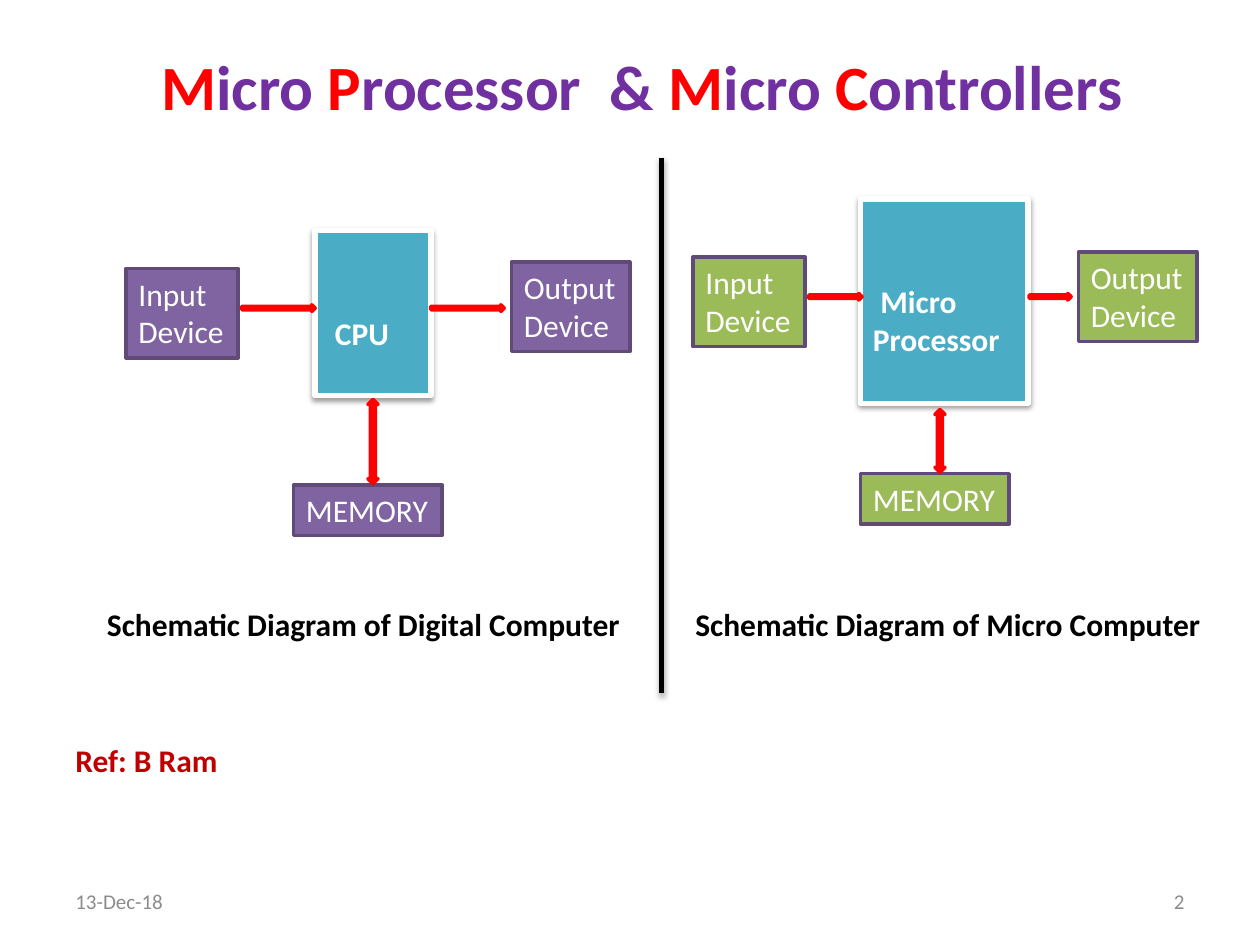
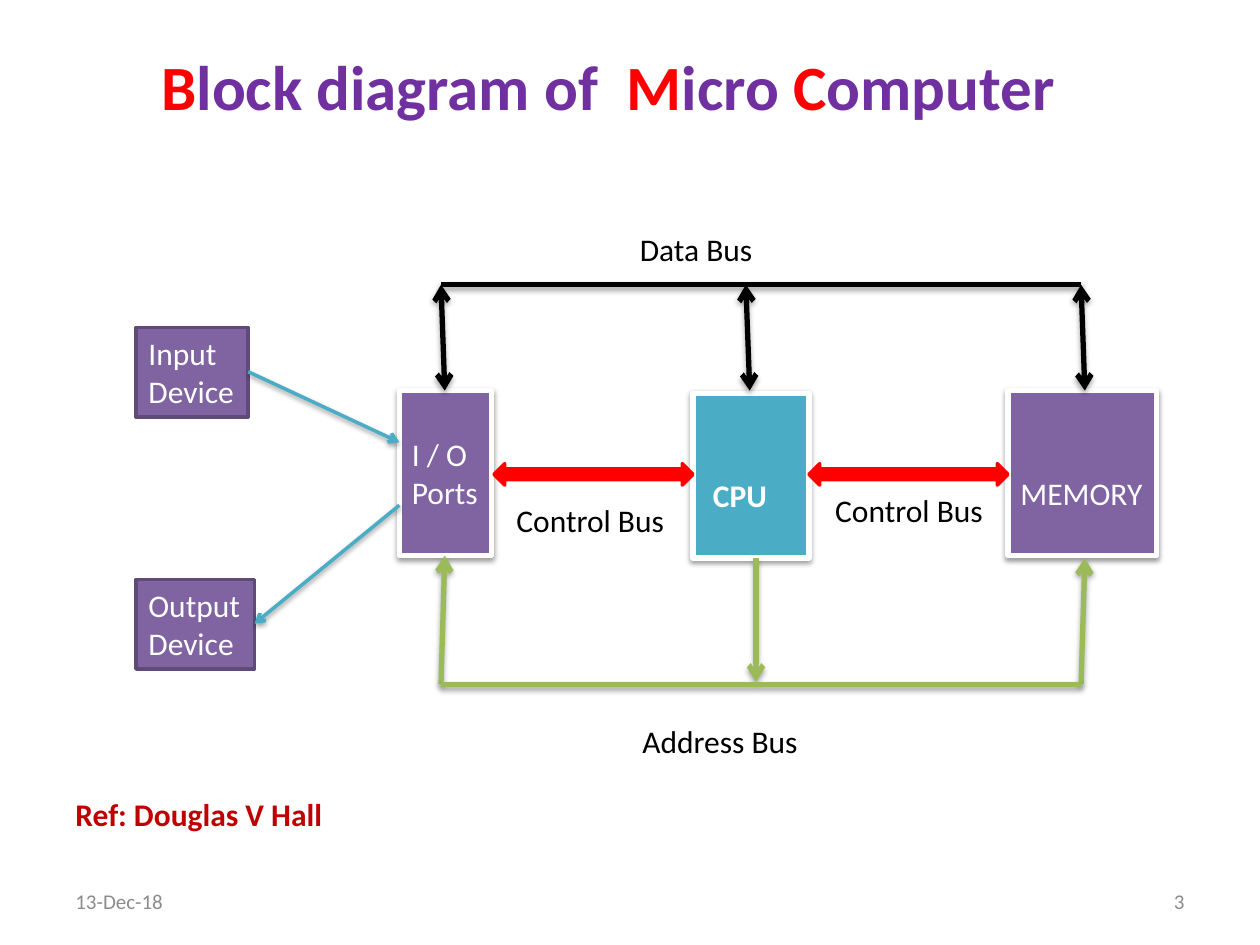
from lxml import etree
from pptx import Presentation
from pptx import util as u
from pptx.dml import color
from pptx.enum import shapes, text
from pptx.oxml import ns

COLOURS = {
    "initial": "FF0000", "title": "7030A0", "signal": "FF0000", "cpu": "4BACC6",
    "violet": "8064A2", "edge": "5F4A78", "green": "9BBB59", "white": "FFFFFF",
    "black": "000000", "reference": "C00000", "footer": "8C8C8C",
}
FONT = "Calibri"
DATE = "13-Dec-18"
LINE_HEIGHT = 0.305
BLOCK_SHADOW = (38, 1.6)
BUS_SHADOW = (35, 1.8)

COMPARISON = {
    "title": [("M", "icro "), ("P", "rocessor  & "), ("M", "icro "), ("C", "ontrollers")],
    "title_width": 7.91,
    "reference": ("Ref: B Ram", (0.5, 5.83, 1.34, 0.4)),
    "number": "2",
}
COMPUTERS = [
    {
        "fill": "violet",
        "devices": [
            (["Input", "Device"], (1, 2.13, 0.89, 0.71)),
            (["MEMORY"], (2.33, 3.85, 1.18, 0.4)),
            (["Output", "Device"], (4.06, 2.08, 0.94, 0.71)),
        ],
        "processor": ("CPU", (2.5, 1.83, 0.92, 1.31)),
        "flows": [(1.92, 2.42, 0.58, 0.05), (3.42, 2.42, 0.58, 0.05)],
        "memory_link": (2.92, 3.17, 0.08, 0.67),
        "caption": ("Schematic Diagram of Digital Computer", (0.75, 4.75, 4.31, 0.4)),
    },
    {
        "fill": "green",
        "devices": [
            (["Input", "Device"], (5.5, 2.04, 0.89, 0.71)),
            (["MEMORY"], (6.83, 3.76, 1.18, 0.4)),
            (["Output", "Device"], (8.56, 2, 0.94, 0.71)),
        ],
        "processor": ("Micro Processor", (6.83, 1.58, 1.33, 1.62)),
        "flows": [(6.42, 2.33, 0.42, 0.05), (8.17, 2.33, 0.33, 0.05)],
        "memory_link": (7.42, 3.25, 0.08, 0.5),
        "caption": ("Schematic Diagram of Micro Computer", (5.42, 4.75, 4.25, 0.4)),
    },
]
DIVIDER = ((5.25, 1.25), (5.25, 5.5))

ARCHITECTURE = {
    "title": [("B", "lock diagram of  "), ("M", "icro "), ("C", "omputer")],
    "title_width": 7.36,
    "reference": ("Ref: Douglas V Hall", (0.5, 6.26, 2.18, 0.4)),
    "number": "3",
}
UNITS = [
    (["I / O", "Ports"], (3.17, 3.1, 0.73, 1.31), 1),
    (["MEMORY"], (8, 3.1, 1.18, 1.31), 2),
]
CPU = ("CPU", (5.5, 3.12, 0.92, 1.31))
PERIPHERALS = [
    (["Input", "Device"], (1.08, 2.6, 0.89, 0.71)),
    (["Output", "Device"], (1.08, 4.6, 0.94, 0.71)),
]
CONTROL_BUSES = [(3.92, 3.68, 1.58, 0.17), (6.42, 3.68, 1.58, 0.17)]
BUS_LABELS = [
    ("Control Bus", (6.53, 3.85, 1.39, 0.4)),
    ("Control Bus", (4, 3.93, 1.39, 0.4)),
    ("Data Bus", (4.98, 1.78, 1.1, 0.4)),
    ("Address Bus", (5, 5.68, 1.45, 0.4)),
]
BUS_ENDS = (3.5, 8.58)
DATA_TAPS = (3.5, 5.92, 8.58)
DATA_Y, ADDRESS_Y = 2.26, 5.43
ADDRESS_LINKS = [
    ((3.5, ADDRESS_Y), (3.53, 4.41)),
    ((6, 4.43), (6, 5.41)),
    ((8.58, ADDRESS_Y), (8.61, 4.43)),
]
PORT_LINKS = [((1.97, 2.95), (3.17, 3.51)), ((3.17, 4.01), (2.02, 4.95))]


def rgb(name):
    return color.RGBColor.from_string(COLOURS[name])


def place(at):
    return [u.Inches(value) for value in at]


def add_effects(item, shadow=None):
    effects = etree.SubElement(item._element.spPr, ns.qn("a:effectLst"))
    if shadow:
        opacity, distance = shadow
        outer = etree.SubElement(effects, ns.qn("a:outerShdw"), blurRad=str(u.Pt(3.1)),
                                 dist=str(u.Pt(distance)), dir="5400000", rotWithShape="0")
        black = etree.SubElement(outer, ns.qn("a:srgbClr"), val=COLOURS["black"])
        etree.SubElement(black, ns.qn("a:alpha"), val=str(opacity * 1000))


def write(item, paragraphs, size, wrap=False, align=text.PP_ALIGN.LEFT,
          anchor=text.MSO_ANCHOR.TOP, top=0.05):
    frame = item.text_frame
    frame.word_wrap = wrap
    frame.auto_size = text.MSO_AUTO_SIZE.NONE
    frame.vertical_anchor = anchor
    frame.margin_left = frame.margin_right = u.Inches(0.1)
    frame.margin_top, frame.margin_bottom = u.Inches(top), u.Inches(0.05)
    for index, runs in enumerate(paragraphs):
        paragraph = frame.add_paragraph() if index else frame.paragraphs[0]
        paragraph.alignment = align
        for words, shade, bold in runs:
            run = paragraph.add_run()
            run.text = words
            run.font.name, run.font.size, run.font.bold = FONT, u.Pt(size), bold
            run.font.color.rgb = rgb(shade)
    return frame


def add_label(slide, words, at, shade="black", bold=False, size=18, **layout):
    label = slide.shapes.add_textbox(*place(at))
    write(label, [[(words, shade, bold)]], size, **layout)


def add_solid(slide, kind, at, fill, edge, width, shadow=None):
    solid = slide.shapes.add_shape(kind, *place(at))
    solid.fill.solid()
    solid.fill.fore_color.rgb = rgb(fill)
    solid.line.color.rgb = rgb(edge)
    solid.line.width = u.Pt(width)
    if shadow:
        add_effects(solid, shadow)
    else:
        solid.shadow.inherit = False
    return solid


def add_device(slide, lines, at, fill):
    device = add_solid(slide, shapes.MSO_SHAPE.RECTANGLE, at, fill, "edge", 2)
    write(device, [[(line, "white", False)] for line in lines], 18)


def add_unit(slide, lines, at, fill, lines_down, bold=False, wrap=False):
    unit = add_solid(slide, shapes.MSO_SHAPE.RECTANGLE, at, fill, "white", 3, BLOCK_SHADOW)
    return write(unit, [[(line, "white", bold)] for line in lines], 18, wrap=wrap,
                 top=0.05 + lines_down * LINE_HEIGHT)


def add_processor(slide, name, at):
    frame = add_unit(slide, [name], at, "cpu", 2, bold=True, wrap=True)
    frame.paragraphs[0]._p.get_or_add_pPr().set("indent", str(u.Inches(0.06)))


def add_arrow(slide, kind, at, width=2):
    add_solid(slide, kind, at, "signal", "signal", width)


def add_line(slide, ends, shade, width=3, shadow=BUS_SHADOW, arrows=()):
    (x1, y1), (x2, y2) = ends
    line = slide.shapes.add_connector(shapes.MSO_CONNECTOR.STRAIGHT, *place((x1, y1, x2, y2)))
    line.line.color.rgb = rgb(shade)
    line.line.width = u.Pt(width)
    for end in arrows:
        etree.SubElement(line.line._get_or_add_ln(), ns.qn("a:" + end), type="arrow")
    add_effects(line, shadow)


def start_slide(deck, content):
    slide = deck.slides.add_slide(deck.slide_layouts[5])
    title = slide.shapes.title
    title.left, title.top, title.width, title.height = place(
        (1.18, 0.33, content["title_width"], 0.71))
    runs = []
    for initial, rest in content["title"]:
        runs += [(initial, "initial", True), (rest, "title", True)]
    write(title, [runs], 36)
    words, at = content["reference"]
    add_label(slide, words, at, "reference", bold=True)
    for words, left, align in ((DATE, 0.5, text.PP_ALIGN.LEFT),
                               (content["number"], 7.17, text.PP_ALIGN.RIGHT)):
        add_label(slide, words, (left, 6.95, 2.33, 0.4), "footer", size=12, wrap=True,
                  align=align, anchor=text.MSO_ANCHOR.MIDDLE)
    return slide


def build_comparison(deck):
    slide = start_slide(deck, COMPARISON)
    for computer in COMPUTERS:
        for lines, at in computer["devices"]:
            add_device(slide, lines, at, computer["fill"])
        add_processor(slide, *computer["processor"])
        for at in computer["flows"]:
            add_arrow(slide, shapes.MSO_SHAPE.RIGHT_ARROW, at, 2.25)
        add_arrow(slide, shapes.MSO_SHAPE.UP_DOWN_ARROW, computer["memory_link"])
        add_label(slide, *computer["caption"], bold=True)
    add_line(slide, DIVIDER, "black")


def build_architecture(deck):
    slide = start_slide(deck, ARCHITECTURE)
    for lines, at, lines_down in UNITS:
        add_unit(slide, lines, at, "violet", lines_down)
    add_processor(slide, *CPU)
    for lines, at in PERIPHERALS:
        add_device(slide, lines, at, "violet")
    for at in CONTROL_BUSES:
        add_arrow(slide, shapes.MSO_SHAPE.LEFT_RIGHT_ARROW, at)
    for words, at in BUS_LABELS:
        add_label(slide, words, at)
    for x in DATA_TAPS:
        add_line(slide, ((x + 0.03, 3.1), (x, DATA_Y)), "black", arrows=("headEnd", "tailEnd"))
    for ends in PORT_LINKS:
        add_line(slide, ends, "cpu", 2, BLOCK_SHADOW, ("tailEnd",))
    for ends in ADDRESS_LINKS:
        add_line(slide, ends, "green", arrows=("tailEnd",))
    for y, shade in ((DATA_Y, "black"), (ADDRESS_Y, "green")):
        add_line(slide, [(x, y) for x in BUS_ENDS], shade)


deck = Presentation()
deck.slide_width, deck.slide_height = u.Inches(10), u.Inches(7.5)
build_comparison(deck)
build_architecture(deck)
deck.save("out.pptx")
